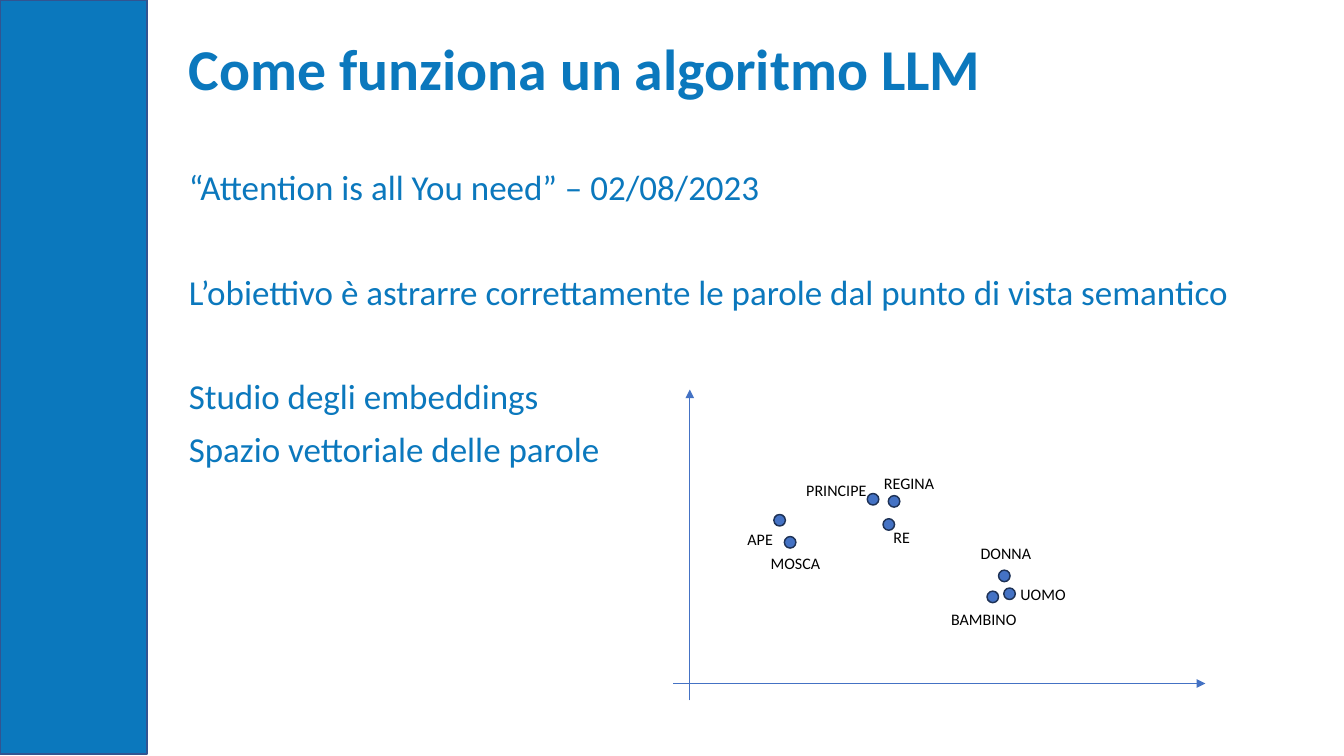
from lxml import etree
from pptx import Presentation
from pptx.dml.color import RGBColor
from pptx.enum.shapes import MSO_CONNECTOR, MSO_SHAPE
from pptx.enum.text import MSO_ANCHOR, MSO_AUTO_SIZE
from pptx.oxml.ns import qn
from pptx.util import Inches, Pt

RECTANGLE = MSO_SHAPE.RECTANGLE
OVAL = MSO_SHAPE.OVAL
STRAIGHT = MSO_CONNECTOR.STRAIGHT
MIDDLE = MSO_ANCHOR.MIDDLE
FIT_SHAPE = MSO_AUTO_SIZE.SHAPE_TO_FIT_TEXT

COLORS = {
    "brand": "0B78BD",
    "band_line": "325491",
    "plot": "4472C4",
    "dot_line": "1E3256",
    "label": "000000",
}
DOT_SIZE = 0.11


def add_filled_shape(shapes, kind, box, fill, line):
    shape = shapes.add_shape(kind, *map(Inches, box))
    shape.shadow.inherit = False
    shape.fill.solid()
    shape.fill.fore_color.rgb = RGBColor.from_string(COLORS[fill])
    shape.line.color.rgb = RGBColor.from_string(COLORS[line])
    shape.line.width = Pt(1)


def add_text(shapes, box, lines, size, color, bold=False):
    text_frame = shapes.add_textbox(*map(Inches, box)).text_frame
    text_frame.word_wrap = True
    text_frame.text = "\n".join(lines)
    for paragraph in text_frame.paragraphs:
        font = paragraph.runs[0].font
        font.name = "Calibri"
        font.size = Pt(size)
        font.bold = bold
        font.color.rgb = RGBColor.from_string(COLORS[color])
    return text_frame


presentation = Presentation()
presentation.slide_width = Inches(12.8)
presentation.slide_height = Inches(7.2)
slide = presentation.slides.add_slide(presentation.slide_layouts[6])

add_filled_shape(slide.shapes, RECTANGLE, (0, 0, 1.4, 7.18), "brand", "band_line")

title = add_text(slide.shapes, (1.7, 0.33, 10.67, 0.7),
                 ["Come funziona un algoritmo LLM"], 39.6, "brand", bold=True)
title.vertical_anchor = MIDDLE
title.paragraphs[0].line_spacing = 0.9

body_lines = [
    "“Attention is all You need” – 02/08/2023",
    "L’obiettivo è astrarre correttamente le parole dal punto di vista semantico",
    "Studio degli embeddings",
    "Spazio vettoriale delle parole",
]
body = add_text(slide.shapes, (1.7, 1.57, 10.67, 4.57), body_lines, 24, "brand")
for paragraph, space_before in zip(body.paragraphs, (0, 46, 46, 10)):
    paragraph.line_spacing = 0.9
    paragraph.space_before = Pt(space_before)

word_space = slide.shapes.add_group_shape().shapes

axes = [(6.41, 6.51, 11.48, 6.51), (6.57, 6.67, 6.57, 3.71)]
for axis in axes:
    connector = word_space.add_connector(STRAIGHT, *map(Inches, axis))
    connector.line.color.rgb = RGBColor.from_string(COLORS["plot"])
    connector.line.width = Pt(0.5)
    etree.SubElement(connector.line._get_or_add_ln(), qn("a:tailEnd"), type="triangle")
    etree.SubElement(connector._element.spPr, qn("a:effectLst"))

words = [
    ("APE", (7.37, 4.9), (7.02, 4.99, 0.45)),
    ("MOSCA", (7.47, 5.11), (7.24, 5.22, 0.68)),
    ("BAMBINO", (9.4, 5.63), (8.96, 5.76, 0.83)),
    ("DONNA", (9.51, 5.43), (9.24, 5.13, 0.69)),
    ("UOMO", (9.56, 5.6), (9.62, 5.52, 0.63)),
    ("PRINCIPE", (8.26, 4.7), (7.58, 4.53, 0.78)),
    ("RE", (8.41, 4.94), (8.41, 4.97, 0.36)),
    ("REGINA", (8.46, 4.72), (8.32, 4.46, 0.69)),
]
for word, dot, label_box in words:
    add_filled_shape(word_space, OVAL, (*dot, DOT_SIZE, DOT_SIZE), "plot", "dot_line")
    label = add_text(word_space, (*label_box, 0.29), [word], 11, "label")
    label.word_wrap = False
    label.auto_size = FIT_SHAPE

presentation.save("out.pptx")
